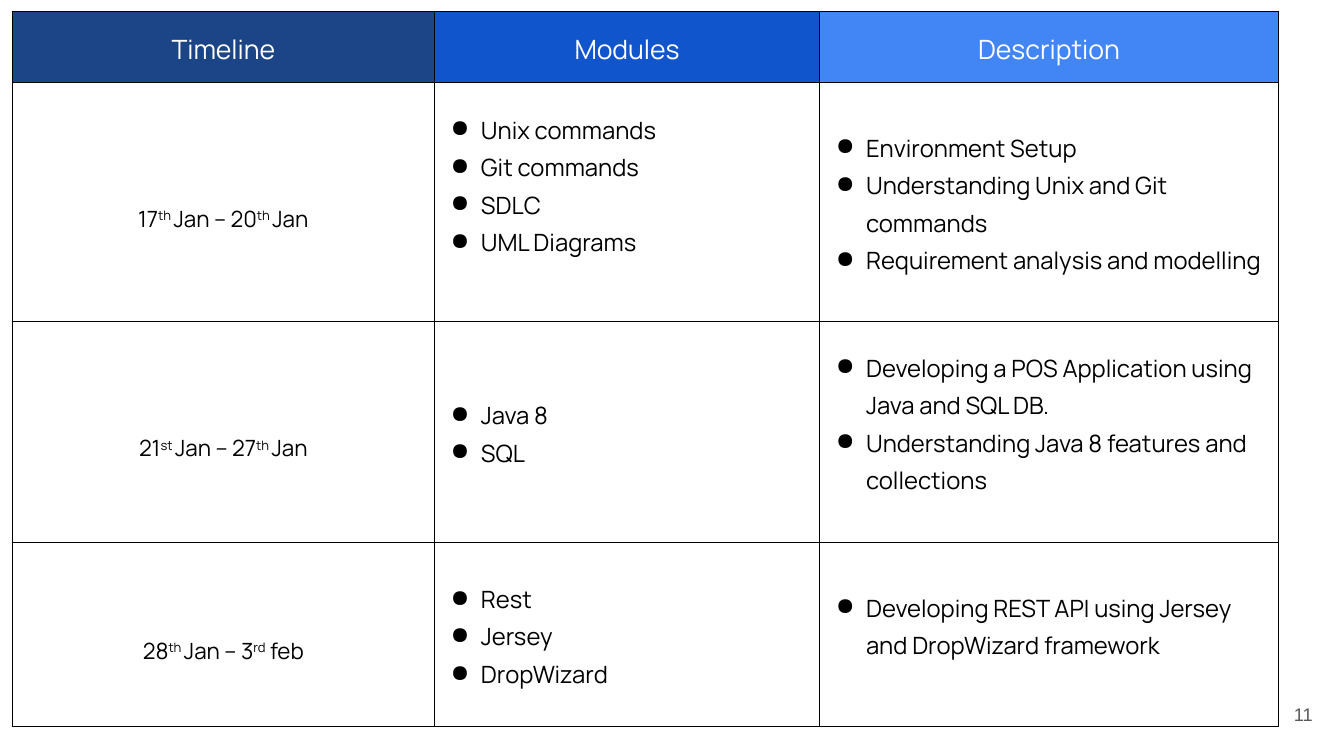
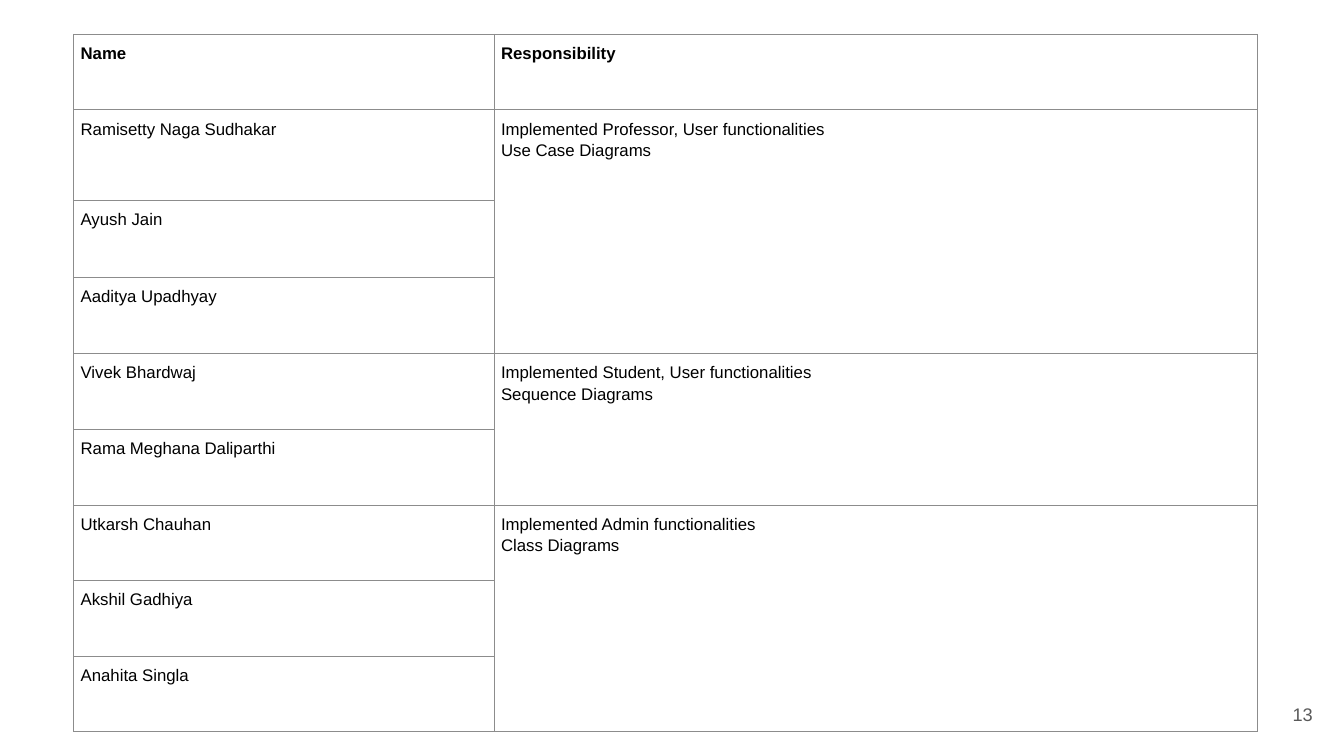
from lxml.etree import SubElement
from pptx import Presentation
from pptx.dml.color import RGBColor
from pptx.enum.text import MSO_ANCHOR, PP_ALIGN
from pptx.oxml.ns import qn
from pptx.util import Inches, Pt

BLACK, WHITE, GREY, RULE = "000000", "FFFFFF", "595959", "8C8C8C"
BLUES = ["1C4587", "1155CC", "4285F4"]
SANS, BRAND = "Arial", "Manrope"

# Dates mark raised letters with carets; shifts move a cell's text down (inches).
PLAN = [
    ("17^th ^Jan – 20^th ^Jan",
     ["Unix commands", "Git commands", "SDLC", "UML Diagrams"],
     ["Environment Setup", "Understanding Unix and Git commands",
      "Requirement analysis and modelling"],
     (0.14, -0.18, 0)),
    ("21^st ^Jan – 27^th ^Jan",
     ["Java 8", "SQL"],
     ["Developing a POS Application using Java and SQL DB.",
      "Understanding Java 8 features and collections"],
     (0.14, 0, -0.1)),
    ("28^th ^Jan – 3^rd^ feb",
     ["Rest", "Jersey", "DropWizard"],
     ["Developing REST API using Jersey and DropWizard framework"],
     (0.14, 0, -0.1)),
]

TEAMS = [
    (["Ramisetty Naga Sudhakar", "Ayush Jain", "Aaditya Upadhyay"],
     ["Implemented Professor, User functionalities", "Use Case Diagrams"]),
    (["Vivek Bhardwaj", "Rama Meghana Daliparthi"],
     ["Implemented Student, User functionalities", "Sequence Diagrams"]),
    (["Utkarsh Chauhan", "Akshil Gadhiya", "Anahita Singla"],
     ["Implemented Admin functionalities", "Class Diagrams"]),
]


def paint(color, tone):
    color.rgb = RGBColor.from_string(tone)


def bullet(para):
    props = para._p.get_or_add_pPr()
    props.set("marL", str(Inches(0.38)))
    props.set("indent", str(Inches(-0.3)))
    tint = SubElement(props, qn("a:buClr"))
    SubElement(tint, qn("a:srgbClr")).set("val", BLACK)
    SubElement(props, qn("a:buChar")).set("char", "●")


def write(frame, lines, size=12, font=SANS, tone=BLACK, bold=False,
          align=PP_ALIGN.LEFT, space=1.15, dots=False):
    """Fill a frame, one paragraph a line; text between carets is raised."""
    for i, line in enumerate(lines):
        para = frame.add_paragraph() if i else frame.paragraphs[0]
        para.alignment = align
        para.line_spacing = space
        if dots:
            bullet(para)
        for j, part in enumerate(line.split("^")):
            run = para.add_run()
            run.text = part
            run.font.size = Pt(size)
            run.font.name = font
            run.font.bold = bold
            paint(run.font.color, tone)
            if j % 2:
                run._r.get_or_add_rPr().set("baseline", "30000")


def edge(cell, tone):
    """Draw a thin line on all four sides of a cell."""
    props = cell._tc.get_or_add_tcPr()
    for side in ("lnL", "lnR", "lnT", "lnB"):
        line = SubElement(props, qn("a:" + side), w=str(Pt(0.75)))
        fill = SubElement(line, qn("a:solidFill"))
        SubElement(fill, qn("a:srgbClr")).set("val", tone)


def grid(slide, left, top, cols, rows, line, pad):
    """Add a plain ruled table without fills."""
    frame = slide.shapes.add_table(
        len(rows), len(cols), Inches(left), Inches(top),
        Inches(sum(cols)), Inches(sum(rows)))
    table = frame.table
    table.first_row = table.horz_banding = False
    for col, width in zip(table.columns, cols):
        col.width = Inches(width)
    for row, height in zip(table.rows, rows):
        row.height = Inches(height)
    for cell in table.iter_cells():
        cell.margin_left = cell.margin_right = Inches(pad)
        cell.margin_top = cell.margin_bottom = Inches(pad)
        edge(cell, line)
        cell.fill.background()
    return table


def page(deck, number):
    """Add a blank slide with its number at the lower right."""
    slide = deck.slides.add_slide(deck.slide_layouts[6])
    box = slide.shapes.add_textbox(
        Inches(12.35), Inches(6.8), Inches(0.8), Inches(0.57))
    frame = box.text_frame
    frame.word_wrap = True
    frame.vertical_anchor = MSO_ANCHOR.MIDDLE
    frame.margin_left = frame.margin_right = Inches(0.13)
    frame.margin_top = frame.margin_bottom = Inches(0.13)
    write(frame, [str(number)], size=13, tone=GREY,
          align=PP_ALIGN.RIGHT, space=1.0)
    return slide


def shift(cell, drop):
    """Move middle-anchored text down, or up if negative."""
    if drop > 0:
        cell.margin_top += Inches(2 * drop)
    else:
        cell.margin_bottom -= Inches(2 * drop)


def schedule(slide, left, top):
    table = grid(slide, left, top, [4.19, 3.82, 4.55],
                 [0.71, 2.37, 2.19, 1.83], BLACK, 0.08)
    for cell in table.iter_cells():
        cell.vertical_anchor = MSO_ANCHOR.MIDDLE
    for c, head in enumerate(["Timeline", "Modules", "Description"]):
        cell = table.cell(0, c)
        cell.fill.solid()
        paint(cell.fill.fore_color, BLUES[c])
        write(cell.text_frame, [head], size=19, font=BRAND, tone=WHITE,
              align=PP_ALIGN.CENTER)
    for r, (dates, topics, tasks, drops) in enumerate(PLAN, 1):
        write(table.cell(r, 0).text_frame, [dates], size=16, font=BRAND,
              align=PP_ALIGN.CENTER)
        for c, items in enumerate((topics, tasks), 1):
            write(table.cell(r, c).text_frame, items, size=17, font=BRAND,
                  dots=True)
        for c, drop in enumerate(drops):
            shift(table.cell(r, c), drop)


def roles(slide, left, top):
    table = grid(slide, left, top, [4.17, 7.57],
                 [0.75, 0.9, 0.76, 0.76] + [0.75] * 5, RULE, 0.07)
    for c, head in enumerate(["Name", "Responsibility"]):
        write(table.cell(0, c).text_frame, [head], bold=True)
    row = 1
    for names, work in TEAMS:
        last = row + len(names) - 1
        table.cell(row, 1).merge(table.cell(last, 1))
        write(table.cell(row, 1).text_frame, work)
        for r, name in enumerate(names, row):
            write(table.cell(r, 0).text_frame, [name])
        row = last + 1


def main():
    deck = Presentation()
    deck.slide_width, deck.slide_height = Inches(13.33), Inches(7.5)
    schedule(page(deck, 11), 0.12, 0.11)
    roles(page(deck, 13), 0.73, 0.34)
    deck.save("out.pptx")


if __name__ == "__main__":
    main()
